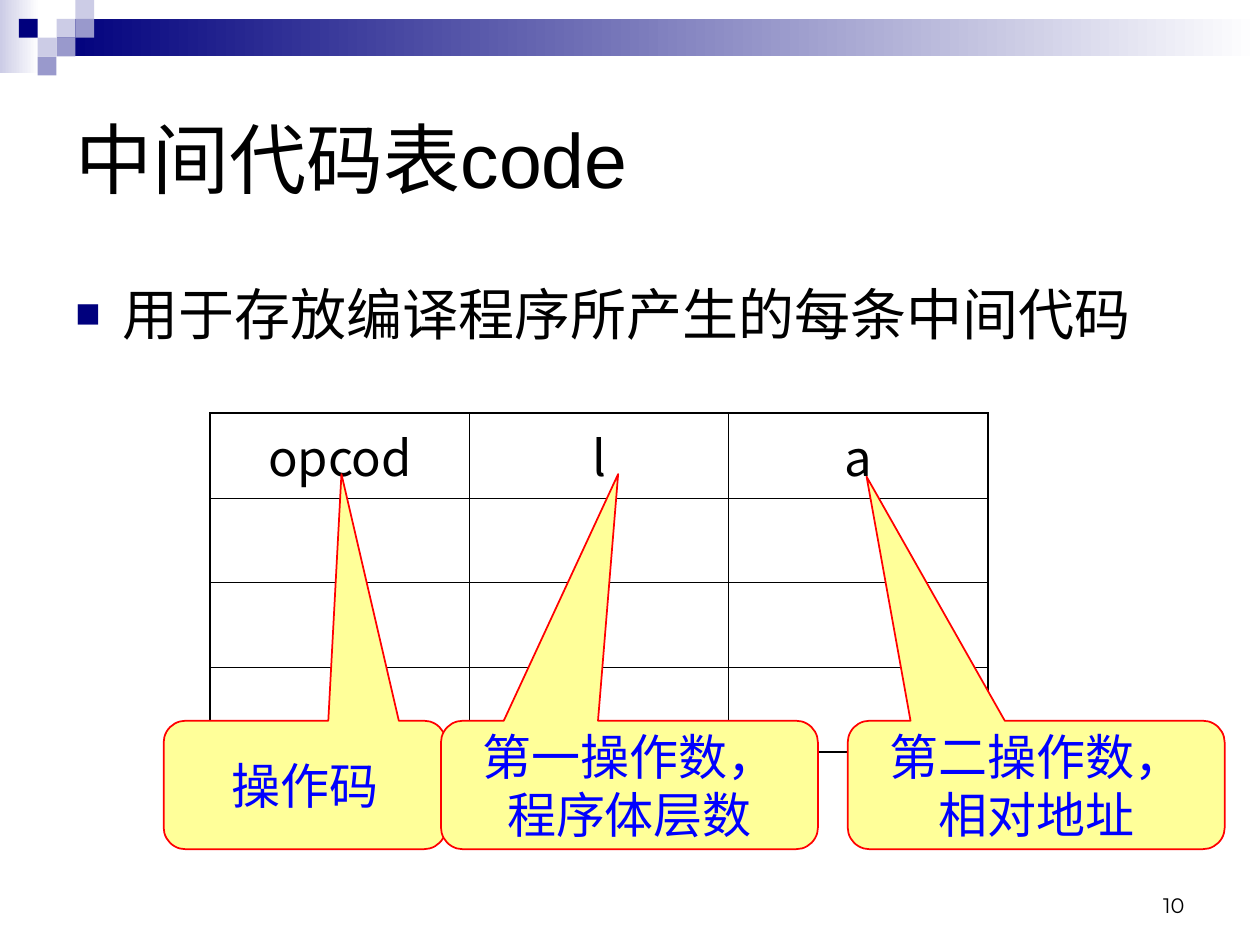
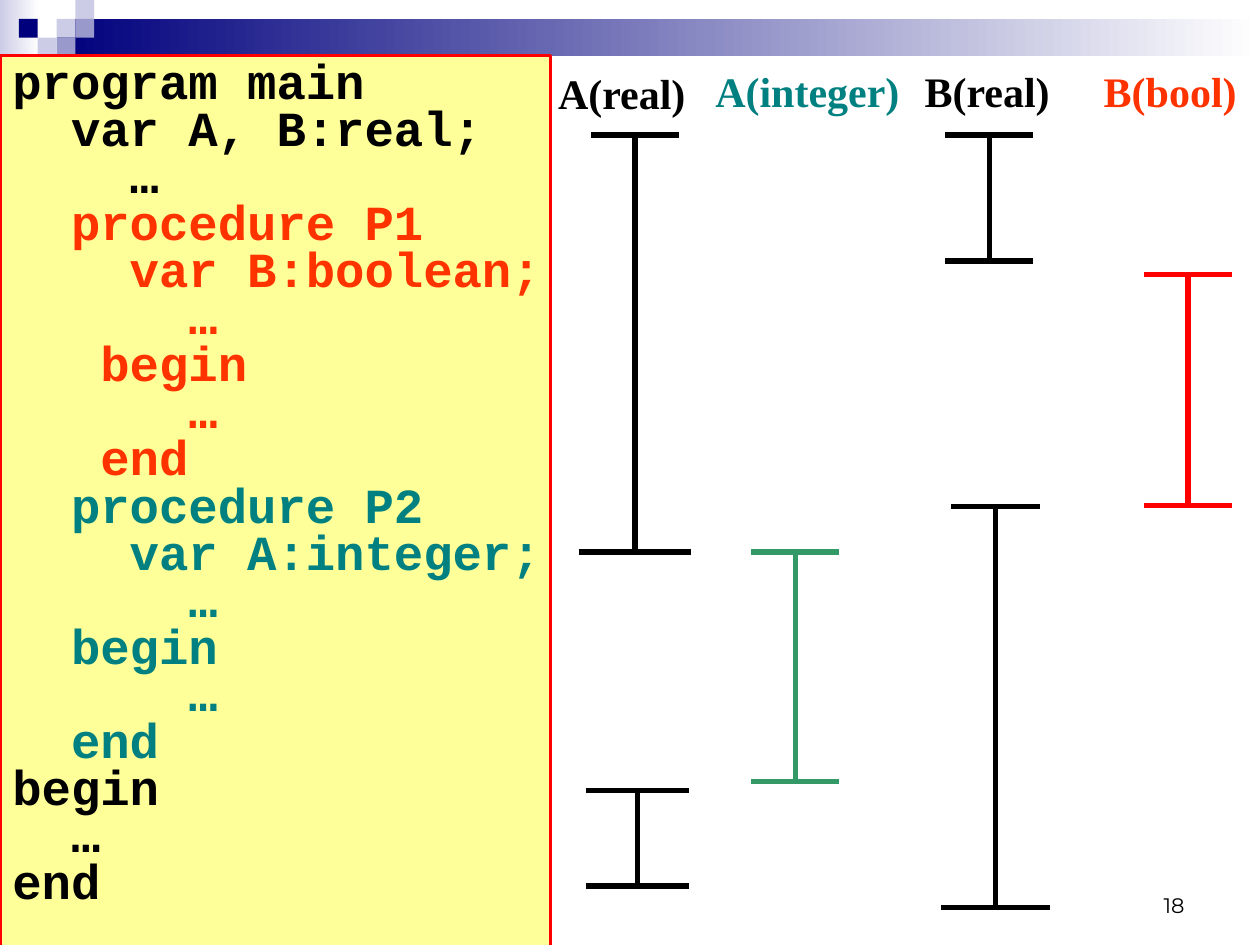
"""Builds two compiler slides: the intermediate code table and the scopes of variables."""
from lxml import etree
from pptx import Presentation
from pptx.dml.color import RGBColor
from pptx.enum.shapes import MSO_CONNECTOR, MSO_SHAPE
from pptx.enum.text import MSO_ANCHOR, PP_ALIGN
from pptx.oxml.ns import qn
from pptx.util import Cm, Pt

RECTANGLE = MSO_SHAPE.RECTANGLE
CALLOUT = MSO_SHAPE.ROUNDED_RECTANGULAR_CALLOUT
STRAIGHT = MSO_CONNECTOR.STRAIGHT
LEFT, CENTER, RIGHT = PP_ALIGN.LEFT, PP_ALIGN.CENTER, PP_ALIGN.RIGHT
TOP, MIDDLE, BOTTOM = MSO_ANCHOR.TOP, MSO_ANCHOR.MIDDLE, MSO_ANCHOR.BOTTOM

COLORS = {
    "black": "000000", "white": "FFFFFF", "navy": "00007D", "lavender": "9999CC",
    "pale": "CCCCE6", "yellow": "FFFF99", "red": "FF0000", "blue": "0000FF",
    "orange": "FF3300", "teal": "008080", "green": "339966",
}
CJK = "Noto Sans CJK SC"
SQUARE = 0.38
SQUARES = [(3, 1, "pale"), (4, 0, "pale"), (4, 1, "lavender"), (2, 2, "pale"),
           (1, 1, "navy"), (3, 2, "lavender"), (2, 3, "lavender")]

HEADERS = ["opcod", "l", "a"]
CALLOUTS = [
    (3.3, 5.69, "操作码", 0.13, -2.42),
    (8.89, 7.6, "第一操作数，程序体层数", -0.03, -2.42),
    (17.09, 7.6, "第二操作数，相对地址", -0.45, -2.4),
]

PROGRAM = [
    ("black", ["program main", "  var A, B:real;", "    …"]),
    ("orange", ["  procedure P1", "    var B:boolean;", "      …",
                "   begin", "      …", "   end"]),
    ("teal", ["  procedure P2", "    var A:integer;", "      …",
              "  begin", "      …", "  end"]),
    ("black", ["begin", "  …", "end"]),
]
VARIABLES = [
    (11, 1.24, 3.17, "A(real)", "black"),
    (14.17, 1.19, 4.4, "A(integer)", "teal"),
    (18.39, 1.19, 3.3, "B(real)", "black"),
    (22, 1.19, 3.38, "B(bool)", "orange"),
]
SCOPES = [
    (12.8, 2.72, 11.13, 0.84, 1.07, "black"),
    (12.85, 15.93, 17.86, 0.99, 0.99, "black"),
    (19.94, 2.72, 5.26, 0.84, 0.84, "black"),
    (20.07, 10.21, 18.29, 0.84, 1.05, "black"),
    (23.95, 5.54, 10.19, 0.84, 0.84, "red"),
    (16.03, 11.13, 15.75, 0.84, 0.84, "green"),
]


def rgb(name):
    """Return the named colour."""
    return RGBColor.from_string(COLORS[name])


def write(paragraph, text, *, size, font="Arial", asian=None, color="black",
          bold=False, align=LEFT, spacing=None):
    """Put one formatted span of text into a paragraph."""
    paragraph.alignment = align
    if spacing:
        paragraph.line_spacing = spacing
    span = paragraph.add_run()
    span.text = text
    span.font.size, span.font.bold, span.font.name = Pt(size), bold, font
    span.font.color.rgb = rgb(color)
    if asian:
        etree.SubElement(span.font._element, qn("a:ea"), typeface=asian)


def add_bullet(paragraph, bullet):
    """Give a paragraph a hanging indent and a navy bullet."""
    properties = paragraph._p.get_or_add_pPr()
    properties.set("marL", str(Cm(0.95)))
    properties.set("indent", str(-Cm(0.95)))
    tint = etree.SubElement(properties, qn("a:buClr"))
    etree.SubElement(tint, qn("a:srgbClr"), val=COLORS["navy"])
    etree.SubElement(properties, qn("a:buSzPct"), val="75000")
    etree.SubElement(properties, qn("a:buFont"), typeface="Arial")
    etree.SubElement(properties, qn("a:buChar"), char=bullet)


def set_border(cell, side, width):
    """Draw one side of a table cell in black."""
    line = etree.SubElement(cell._tc.get_or_add_tcPr(), qn(f"a:ln{side}"), w=str(Pt(width)))
    fill = etree.SubElement(line, qn("a:solidFill"))
    etree.SubElement(fill, qn("a:srgbClr"), val=COLORS["black"])


class SlideBuilder:
    """Holds the deck, its style and the current page."""

    def __init__(self):
        """Open an empty deck of 4:3 pages."""
        self.deck = Presentation()
        self.deck.slide_width, self.deck.slide_height = Cm(25.4), Cm(19.05)
        self.page = None

    def add_page(self, number):
        """Start a page with the top band, the squares and the page number."""
        self.page = self.deck.slides.add_slide(self.deck.slide_layouts[6])
        self.fade(0, 0, 0.79, 1.47, "pale")
        self.fade(3 * SQUARE, SQUARE, 24.26, 2 * SQUARE, "navy")
        for column, row, color in SQUARES:
            self.shape(column * SQUARE, row * SQUARE, SQUARE, SQUARE, color)
        self.text(18.21, 17.35, 5.92, 1.27, str(number), anchor=BOTTOM,
                  size=12, font="Montserrat", align=RIGHT)

    def shape(self, left, top, width, height, color, kind=RECTANGLE, line=None):
        """Add a filled shape, outlined in red when a line width is given."""
        box = self.page.shapes.add_shape(kind, Cm(left), Cm(top), Cm(width), Cm(height))
        box.shadow.inherit = False
        box.fill.solid()
        box.fill.fore_color.rgb = rgb(color)
        if line:
            box.line.color.rgb = rgb("red")
            box.line.width = Pt(line)
        else:
            box.line.fill.background()
        return box

    def fade(self, left, top, width, height, color):
        """Add a rectangle that fades to white on the right."""
        box = self.shape(left, top, width, height, color)
        box.fill.gradient()
        box.fill.gradient_angle = 0
        for stop, position, name in zip(box.fill.gradient_stops, (0, 1), (color, "white")):
            stop.position = position
            stop.color.rgb = rgb(name)

    def text(self, left, top, width, height, text, *, anchor=TOP, bullet=None, **style):
        """Add a text box of one paragraph."""
        box = self.page.shapes.add_textbox(Cm(left), Cm(top), Cm(width), Cm(height))
        frame = box.text_frame
        frame.word_wrap, frame.vertical_anchor = True, anchor
        if bullet:
            add_bullet(frame.paragraphs[0], bullet)
        write(frame.paragraphs[0], text, **style)

    def table(self, left, top, width, height, headers, rows):
        """Add a plain grid with a header row and a heavier outer border."""
        columns = len(headers)
        grid = self.page.shapes.add_table(rows, columns, Cm(left), Cm(top),
                                          Cm(width), Cm(height)).table
        for row in range(rows):
            for column in range(columns):
                cell = grid.cell(row, column)
                outer = {"L": column == 0, "R": column == columns - 1,
                         "T": row == 0, "B": row == rows - 1}
                for side, heavy in outer.items():
                    set_border(cell, side, 1.08 if heavy else 0.45)
                cell.fill.background()
        for column, header in enumerate(headers):
            write(grid.cell(0, column).text_frame.paragraphs[0], header,
                  size=28, font=CJK, asian=CJK, align=CENTER)

    def callout(self, left, width, text, tip_x, tip_y):
        """Add a yellow callout whose tip points at a table column."""
        box = self.shape(left, 14.53, width, 2.59, "yellow", CALLOUT, line=1)
        for index, value in enumerate((tip_x, tip_y, 0.17)):
            box.adjustments[index] = value
        frame = box.text_frame
        frame.word_wrap, frame.vertical_anchor = True, MIDDLE
        write(frame.paragraphs[0], text, size=28, font=CJK, asian=CJK,
              color="blue", align=CENTER)

    def code(self, left, top, width, height, blocks):
        """Add a yellow panel of code, each block in its own colour."""
        frame = self.shape(left, top, width, height, "yellow", line=2).text_frame
        frame.word_wrap, frame.vertical_anchor = True, TOP
        frame.margin_right = Cm(0)
        lines = [(line, color) for color, block in blocks for line in block]
        for index, (line, color) in enumerate(lines):
            paragraph = frame.add_paragraph() if index else frame.paragraphs[0]
            write(paragraph, line, size=28, font="Courier New", color=color,
                  bold=True, spacing=0.8)

    def line(self, left, top, right, bottom, color):
        """Add a straight thick line with square ends."""
        connector = self.page.shapes.add_connector(STRAIGHT, Cm(left), Cm(top),
                                                   Cm(right), Cm(bottom))
        connector.line.color.rgb = rgb(color)
        connector.line.width = Pt(3)
        connector.get_or_add_ln().set("cap", "sq")
        etree.SubElement(connector._element.spPr, qn("a:effectLst"))

    def scope(self, middle, top, bottom, top_half, bottom_half, color):
        """Add a vertical range with a cap at each end."""
        self.line(middle - top_half, top, middle + top_half, top, color)
        self.line(middle, top, middle, bottom, color)
        self.line(middle - bottom_half, bottom, middle + bottom_half, bottom, color)


def main():
    """Build both pages and save the deck."""
    builder = SlideBuilder()

    builder.add_page(10)
    builder.text(1.27, 1.27, 22.86, 3.81, "中间代码表code", anchor=MIDDLE, size=44, asian=CJK)
    builder.text(1.27, 5.51, 22.86, 10.8, "用于存放编译程序所产生的每条中间代码",
                 bullet="■", size=32, asian=CJK)
    builder.table(4.24, 8.33, 15.68, 6.83, HEADERS, 4)
    for callout in CALLOUTS:
        builder.callout(*callout)

    builder.add_page(18)
    builder.code(0, 1.12, 11.1, 18, PROGRAM)
    for left, top, width, name, color in VARIABLES:
        builder.text(left, top, width, 1.27, name, size=24,
                     font="Times New Roman", color=color, bold=True)
    for scope in SCOPES:
        builder.scope(*scope)

    builder.deck.save("out.pptx")


if __name__ == "__main__":
    main()
